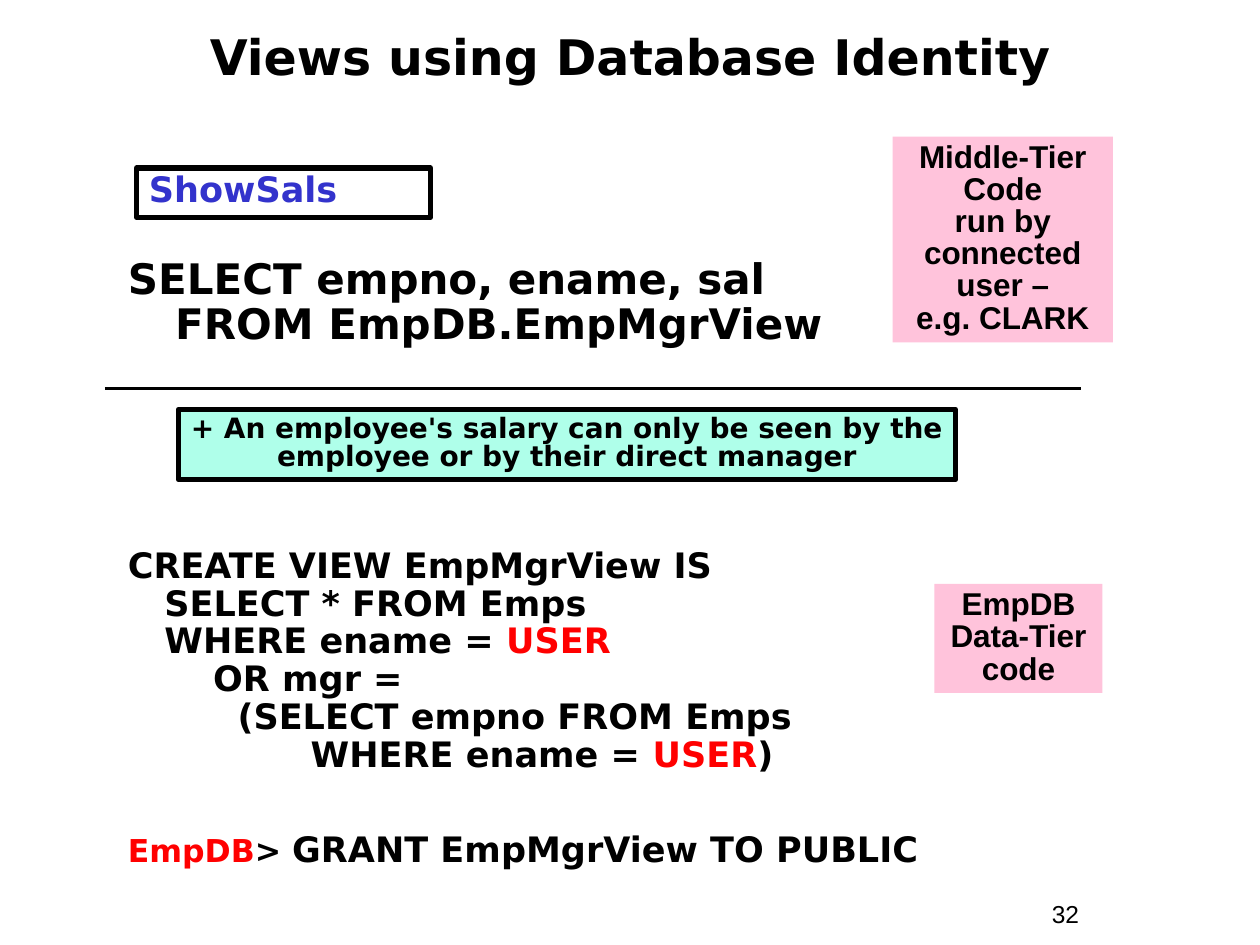
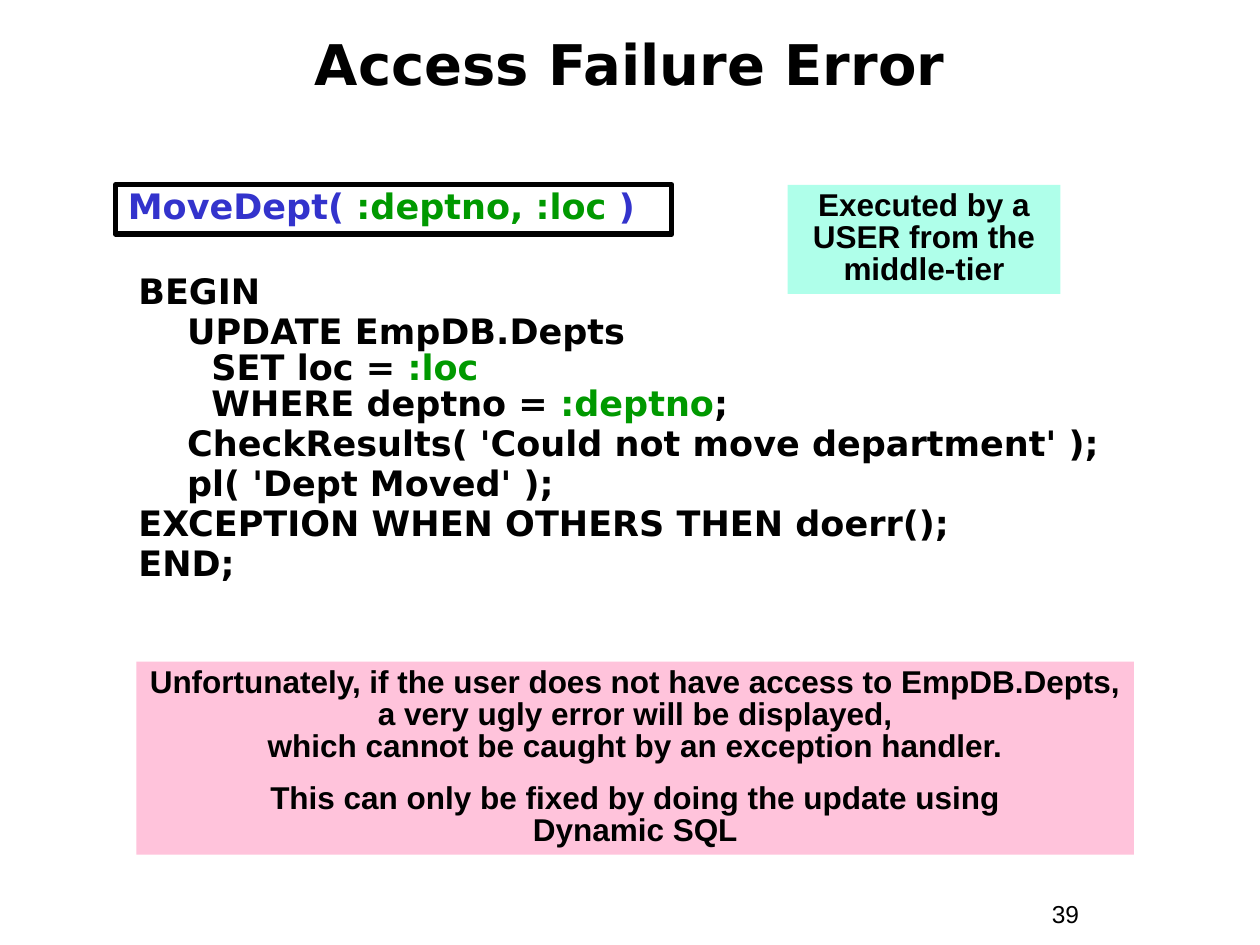
from lxml import etree
from pptx import Presentation
from pptx.dml.color import RGBColor
from pptx.enum.shapes import MSO_CONNECTOR, MSO_SHAPE
from pptx.enum.text import MSO_ANCHOR, MSO_AUTO_SIZE, PP_ALIGN
from pptx.oxml.ns import qn
from pptx.util import Pt

RECT = MSO_SHAPE.RECTANGLE
LINE = MSO_CONNECTOR.STRAIGHT
TOP, MID = MSO_ANCHOR.TOP, MSO_ANCHOR.MIDDLE
FIXED = MSO_AUTO_SIZE.NONE
LEFT, MIDST = PP_ALIGN.LEFT, PP_ALIGN.CENTER
PX = 7620

THEME = {
    "tones": {
        name: RGBColor.from_string(code)
        for name, code in {
            "ink": "000000",
            "red": "FF0000",
            "blue": "3333CC",
            "green": "009900",
            "pink": "FFC3DB",
            "mint": "AFFFEA",
        }.items()
    },
    "code": "DejaVu Sans",
    "note": "Arial",
    "edge": Pt(3),
    "rule": Pt(2.25),
}

STYLES = {
    "title": dict(face="code", size=28, align=MIDST, pitch=0.85, gap=0),
    "big": dict(face="code", size=32, align=MIDST, pitch=0.85, gap=0),
    "query": dict(face="code", size=24, align=LEFT, pitch=0.9, gap=0, hang=45),
    "view": dict(face="code", size=20, align=LEFT, pitch=0.9, gap=33),
    "block": dict(face="code", size=20, align=LEFT, pitch=0.85, gap=2.5),
    "name": dict(face="code", size=20, align=LEFT, pitch=0.85, gap=0, edge=True),
    "rule": dict(face="code", size=16, align=MIDST, pitch=0.85, gap=0, fill="mint", edge=True),
    "pink": dict(face="note", size=18, align=MIDST, pitch=0.85, gap=11.2, fill="pink"),
    "mint": dict(face="note", size=18, align=MIDST, pitch=0.85, gap=0, fill="mint"),
    "page": dict(face="note", size=14, align=LEFT, pitch=1.0, gap=0, bold=False),
}


def write(frame, style, paras, anchor=TOP):
    for key, val in dict(word_wrap=True, auto_size=FIXED, vertical_anchor=anchor).items():
        setattr(frame, key, val)
    for i, runs in enumerate(paras):
        para = frame.add_paragraph() if i else frame.paragraphs[0]
        form = dict(
            alignment=style["align"],
            line_spacing=style["pitch"],
            space_before=Pt(style["gap"] if i else 0),
        )
        for key, val in form.items():
            setattr(para, key, val)
        if "hang" in style:
            props = para._p.get_or_add_pPr()
            props.set("marL", str(style["hang"] * PX))
            props.set("indent", str(-style["hang"] * PX))
        for text, tone, *size in runs:
            for n, part in enumerate(text.split("\n")):
                if n:
                    para.add_line_break()
                if not part:
                    continue
                run = para.add_run()
                run.text = part
                font = dict(
                    name=THEME[style["face"]],
                    size=Pt(size[0] if size else style["size"]),
                    bold=style.get("bold", True),
                )
                for key, val in font.items():
                    setattr(run.font, key, val)
                run.font.color.rgb = THEME["tones"][tone]


def put(slide, kind, spot, paras):
    style = STYLES[kind]
    area = [n * PX for n in spot]
    if "fill" in style or "edge" in style:
        box = slide.shapes.add_shape(RECT, *area)
        box.shadow.inherit = False
        if "fill" in style:
            box.fill.solid()
            box.fill.fore_color.rgb = THEME["tones"][style["fill"]]
        else:
            box.fill.background()
        if "edge" in style:
            box.line.color.rgb = THEME["tones"]["ink"]
            box.line.width = THEME["edge"]
        else:
            box.line.fill.background()
    else:
        box = slide.shapes.add_textbox(*area)
    write(box.text_frame, style, paras)


VIEWS = [
    ("view", (110, 516, 960, 376), [
        [
            ("CREATE VIEW EmpMgrView IS\n   SELECT * FROM Emps\n   WHERE ename = ", "ink"),
            ("USER", "red"),
            ("\n       OR mgr =\n         (SELECT empno FROM Emps\n               WHERE ename = ", "ink"),
            ("USER", "red"),
            (")", "ink"),
        ],
        [("EmpDB", "red", 18), ("> ", "ink", 18), ("GRANT EmpMgrView TO PUBLIC", "ink")],
    ]),
    ("query", (110, 240, 880, 110), [[("SELECT empno, ename, sal\nFROM EmpDB.EmpMgrView", "ink")]]),
    ("name", (130, 160, 280, 47), [[("ShowSals", "blue")]]),
    ("pink", (850, 130, 210, 196), [[("Middle-Tier Code\nrun by connected user –\ne.g. CLARK", "ink")]]),
    ("pink", (890, 556, 160, 104), [[("EmpDB\nData-Tier\ncode", "ink")]]),
    ("rule", (170, 390, 740, 67), [
        [("+ An employee's salary can only be seen by the employee or by their direct manager", "ink")],
    ]),
]

ERROR = [
    ("name", (110, 176, 530, 47), [
        [("MoveDept( ", "blue"), (":deptno, :loc ", "green"), (")", "blue")],
    ]),
    ("block", (120, 257, 960, 305), [
        [("BEGIN", "ink")],
        [
            ("    UPDATE EmpDB.Depts\n      SET loc = ", "ink"),
            (":loc", "green"),
            ("\n      WHERE deptno = ", "ink"),
            (":deptno", "green"),
            (";", "ink"),
        ],
        [("    CheckResults( 'Could not move department' );", "ink")],
        [("    pl( 'Dept Moved' );", "ink")],
        [("EXCEPTION WHEN OTHERS THEN doerr();", "ink")],
        [("END;", "ink")],
    ]),
    ("mint", (750, 176, 260, 104), [[("Executed by a USER from the middle-tier", "ink")]]),
    ("pink", (130, 630, 950, 184), [
        [(
            "Unfortunately, if the user does not have access to EmpDB.Depts, "
            "a very ugly error will be displayed,\n"
            "which cannot be caught by an exception handler.", "ink",
        )],
        [("This can only be fixed by doing the update using\nDynamic SQL", "ink")],
    ]),
]

SLIDES = [
    ("Views using Database Identity", "title", 13, "32", VIEWS, [(100, 370, 1030, 370)]),
    ("Access Failure Error", "big", 20, "39", ERROR, []),
]

deck = Presentation()
deck.slide_width, deck.slide_height = 1200 * PX, 900 * PX

for head, kind, top, page, boxes, rules in SLIDES:
    slide = deck.slides.add_slide(deck.slide_layouts[5])
    title = slide.shapes.title
    for key, val in dict(left=40, top=top, width=1120, height=90).items():
        setattr(title, key, val * PX)
    write(title.text_frame, STYLES[kind], [[(head, "ink")]], MID)
    put(slide, "page", (990, 850, 110, 41), [[(page, "ink")]])
    for box in boxes:
        put(slide, *box)
    for ends in rules:
        rule = slide.shapes.add_connector(LINE, *[n * PX for n in ends])
        rule.line.color.rgb = THEME["tones"]["ink"]
        rule.line.width = THEME["rule"]
        etree.SubElement(rule._element.spPr, qn("a:effectLst"))

deck.save("out.pptx")
